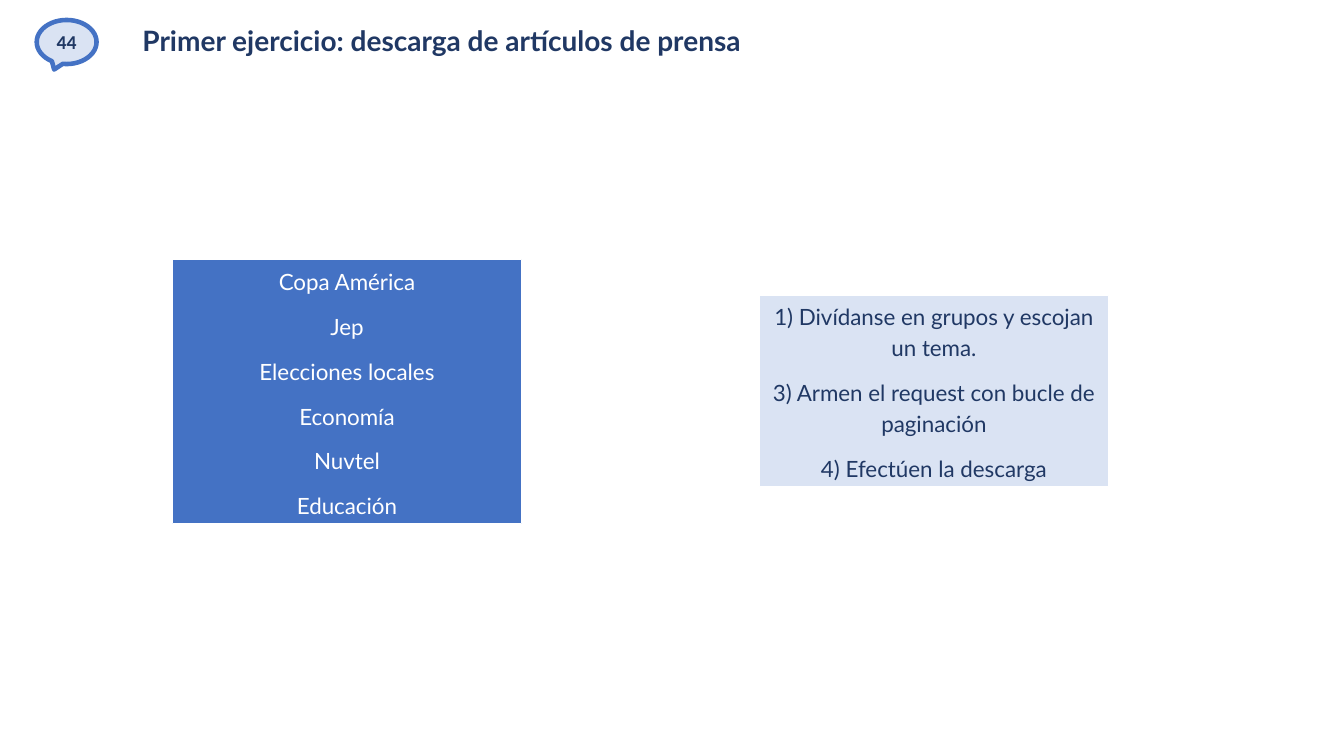
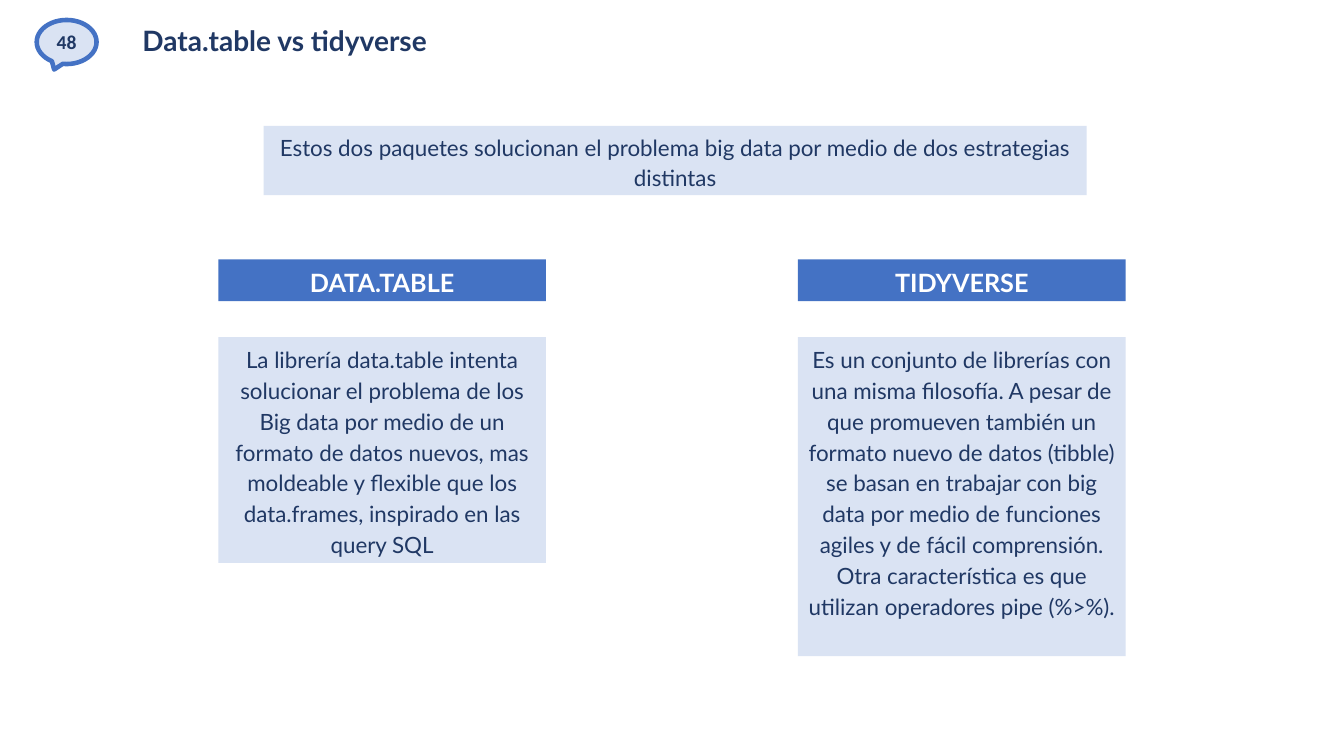
"""Builds two course slides: a press download exercise and data.table vs tidyverse."""
from pptx import Presentation
from pptx.dml.color import RGBColor
from pptx.enum.shapes import MSO_SHAPE
from pptx.enum.text import MSO_ANCHOR, MSO_AUTO_SIZE, PP_ALIGN
from pptx.util import Pt

PX = 9525
NAVY = RGBColor(0x20, 0x38, 0x64)
BLUE = RGBColor(0x44, 0x72, 0xC4)
PALE = RGBColor(0xDA, 0xE3, 0xF3)
WHITE = RGBColor(0xFF, 0xFF, 0xFF)

TITLE = {"name": "Lato", "size": Pt(20), "bold": True}
NUMBER = {"name": "Calibri", "size": Pt(14), "bold": True}
HEADING = {"name": "Lato", "size": Pt(18), "bold": True}
BODY = {"name": "Lato", "size": Pt(16), "bold": False}

CENTRED = {"alignment": PP_ALIGN.CENTER}
SPACED = {"alignment": PP_ALIGN.CENTER, "line_spacing": 1.15, "space_after": Pt(10)}
TIGHT = {"alignment": PP_ALIGN.LEFT, "line_spacing": 0.85}

MIDDLE = {"vertical_anchor": MSO_ANCHOR.MIDDLE, "word_wrap": True}
GROWING = {**MIDDLE, "auto_size": MSO_AUTO_SIZE.SHAPE_TO_FIT_TEXT}
FROM_TOP = {**GROWING, "vertical_anchor": MSO_ANCHOR.TOP}
FIXED = {**MIDDLE, "auto_size": MSO_AUTO_SIZE.NONE}
UNPADDED = {**FIXED, "word_wrap": False, "margin_left": 0, "margin_right": 0,
            "margin_top": 0, "margin_bottom": 0}


def write(frame, lines, frame_format, paragraph_format, font_format, color):
    for name, value in frame_format.items():
        setattr(frame, name, value)
    for index, line in enumerate(lines):
        paragraph = frame.add_paragraph() if index else frame.paragraphs[0]
        for name, value in paragraph_format.items():
            setattr(paragraph, name, value)
        run = paragraph.add_run()
        run.text = line
        for name, value in font_format.items():
            setattr(run.font, name, value)
        run.font.color.rgb = color


def add_panel(slide, preset, box, fill, outline, width):
    panel = slide.shapes.add_shape(preset, *(value * PX for value in box))
    panel.shadow.inherit = False
    panel.fill.solid()
    panel.fill.fore_color.rgb = fill
    if outline is None:
        panel.line.fill.background()
    else:
        panel.line.color.rgb = outline
        panel.line.width = Pt(width)
    return panel


topics = ["Copa América", "Jep", "Elecciones locales", "Economía", "Nuvtel", "Educación"]
steps = ["1) Divídanse en grupos y escojan un tema.",
         "3) Armen el request con bucle de paginación",
         "4) Efectúen la descarga"]
intro = "Estos dos paquetes solucionan el problema big data por medio de dos estrategias distintas"
packages = [
    ("DATA.TABLE", 208, 215,
     "La librería data.table intenta solucionar el problema de los Big data por medio de "
     "un formato de datos nuevos, mas moldeable y flexible que los data.frames, inspirado "
     "en las query SQL"),
    ("TIDYVERSE", 760, 304,
     "Es un conjunto de librerías con una misma filosofía. A pesar de que promueven también "
     "un formato nuevo de datos (tibble) se basan en trabajar con big data por medio de "
     "funciones agiles y de fácil comprensión. Otra característica es que utilizan "
     "operadores pipe (%>%)."),
]

exercise_panels = [
    ((164, 247, 333, 252), BLUE, WHITE, GROWING, BODY, topics),
    ((723, 281, 333, 182), PALE, WHITE, GROWING, BODY, steps),
]
comparison_panels = [((251, 120, 784, 66), PALE, None, GROWING, BODY, [intro])]
for package, left, height, description in packages:
    comparison_panels += [
        ((left, 247, 312, 40), BLUE, None, GROWING, HEADING, [package]),
        ((left, 321, 312, height), PALE, None, FROM_TOP, BODY, [description]),
    ]

pages = [
    ("44", "Primer ejercicio: descarga de artículos de prensa", exercise_panels),
    ("48", "Data.table vs tidyverse", comparison_panels),
]

deck = Presentation()
deck.slide_width = 1280 * PX
deck.slide_height = 720 * PX

for number, heading, panels in pages:
    slide = deck.slides.add_slide(deck.slide_layouts[5])
    title = slide.shapes.title
    title.left, title.top, title.width, title.height = (v * PX for v in (126, 21, 1034, 40))
    write(title.text_frame, [heading], FIXED, TIGHT, TITLE, NAVY)

    bubble = add_panel(slide, MSO_SHAPE.OVAL_CALLOUT, (35, 19, 57, 42), PALE, BLUE, 3.25)
    write(bubble.text_frame, [number], UNPADDED, CENTRED, NUMBER, NAVY)

    for box, fill, outline, frame_format, font_format, lines in panels:
        panel = add_panel(slide, MSO_SHAPE.RECTANGLE, box, fill, outline, 0.75)
        ink = WHITE if fill == BLUE else NAVY
        write(panel.text_frame, lines, frame_format, SPACED, font_format, ink)

deck.save("out.pptx")
